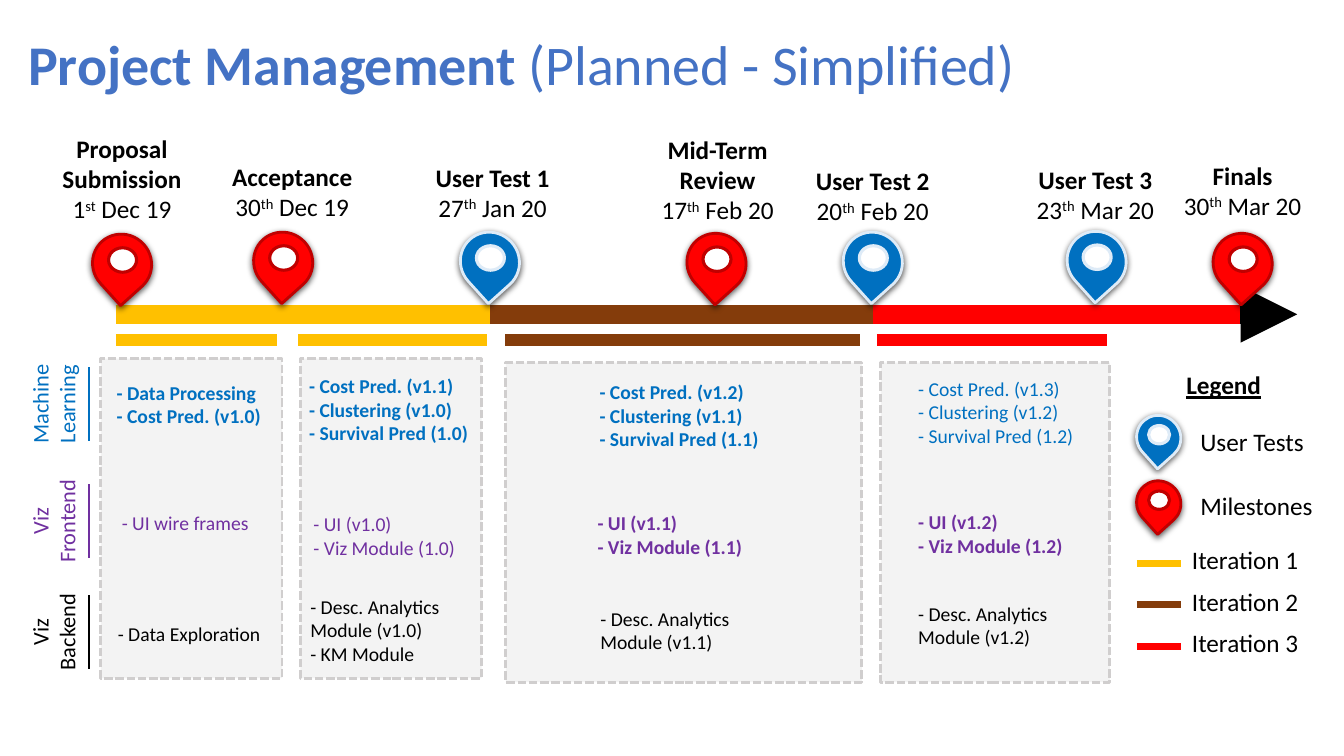
from lxml import etree
from pptx import Presentation
from pptx import util as u
from pptx.dml.color import RGBColor
from pptx.enum import dml, shapes, text
from pptx.oxml import ns

TITLE_BLUE = RGBColor(0x44, 0x72, 0xC4)
BLUE = RGBColor(0x00, 0x70, 0xC0)
PALE_BLUE = RGBColor(0xDE, 0xEB, 0xF7)
PURPLE = RGBColor(0x70, 0x30, 0xA0)
BLACK = RGBColor(0x00, 0x00, 0x00)
WHITE = RGBColor(0xFF, 0xFF, 0xFF)
GREY = RGBColor(0xD0, 0xCE, 0xCE)
RED = RGBColor(0xFF, 0x00, 0x00)
DARK_RED = RGBColor(0xC0, 0x00, 0x00)
AMBER = RGBColor(0xFF, 0xC0, 0x00)
BROWN = RGBColor(0x84, 0x3C, 0x0B)

USER_TEST = (BLUE, PALE_BLUE)
MILESTONE = (RED, DARK_RED)
ITERATIONS = [AMBER, BROWN, RED]

EVENTS = [
    (MILESTONE, 2.34, 5.89, 1.02, 3.23, ["Proposal Submission"], ("1", "st", " Dec 19")),
    (MILESTONE, 6.4, 5.84, 5.31, 3.94, ["Acceptance"], ("30", "th", " Dec 19")),
    (USER_TEST, 11.61, 5.84, 10.36, 3.96, ["User Test 1"], ("27", "th", " Jan 20")),
    (MILESTONE, 17.32, 5.87, 16.03, 3.25, ["Mid-Term", "Review"], ("17", "th", " Feb 20")),
    (USER_TEST, 21.26, 5.84, 19.94, 4.04, ["User Test 2"], ("20", "th", " Feb 20")),
    (USER_TEST, 26.9, 5.82, 25.55, 4.01, ["User Test 3"], ("23", "th", " Mar 20")),
    (MILESTONE, 30.58, 5.87, 29.26, 3.91, ["Finals"], ("30", "th", " Mar 20")),
]
TRACKS = [("Machine Learning", BLUE, 9.37), ("Viz Frontend", PURPLE, 12.32),
          ("Viz Backend", BLACK, 15.11)]
PHASES = [
    ((2.54, 9.04, 4.57), (0.38, 4.07), AMBER, [
        (0.15, 0.43, True, ["- Data Processing", "- Cost Pred. (v1.0)"]),
        (0.28, 3.71, False, ["- UI wire frames"]),
        (0.18, 6.5, False, ["- Data Exploration"])]),
    ((7.57, 9.04, 4.57), (-0.05, 4.75), AMBER, [
        (-0.03, 0.26, True, ["- Cost Pred. (v1.1)", "- Clustering (v1.0)", "- Survival Pred (1.0)"]),
        (0.08, 3.74, False, ["- UI (v1.0)", "- Viz Module (1.0)"]),
        (0, 5.82, False, ["- Desc. Analytics Module (v1.0)", "- KM Module"])]),
    ((12.75, 9.14, 8.97), (-0.02, 8.94), BROWN, [
        (2.11, 0.31, True, ["- Cost Pred. (v1.2)", "- Clustering (v1.1)", "- Survival Pred (1.1)"]),
        (2.06, 3.61, True, ["- UI (v1.1)", "- Viz Module (1.1)"]),
        (2.13, 6.02, False, ["- Desc. Analytics Module (v1.1)"])]),
    ((22.2, 9.14, 5.77), (-0.1, 5.79), RED, [
        (0.69, 0.23, False, ["- Cost Pred. (v1.3)", "- Clustering (v1.2)", "- Survival Pred (1.2)"]),
        (0.69, 3.59, True, ["- UI (v1.2)", "- Viz Module (1.2)"]),
        (0.69, 5.9, False, ["- Desc. Analytics Module (v1.2)"])]),
]


def cm(*values):
    """Convert centimetre numbers to lengths."""
    return [u.Cm(v) for v in values]


def add_text(s, box, paras, size=18, color=BLACK, align=text.PP_ALIGN.LEFT):
    """Add a text box; each paragraph is a list of (text, format, baseline) runs."""
    sp = s.shapes.add_textbox(*cm(*box))
    tf = sp.text_frame
    tf.word_wrap = True
    for i, runs in enumerate(paras):
        p = tf.paragraphs[0] if i == 0 else tf.add_paragraph()
        p.alignment = align
        for wording, fmt, baseline in runs:
            r = p.add_run()
            r.text = wording
            for key, value in {"name": "Calibri", "size": u.Pt(size), **fmt}.items():
                setattr(r.font, key, value)
            r.font.color.rgb = color
            if baseline:
                r.font._element.set("baseline", str(baseline))
    return sp


def add_line(s, x1, y1, x2, y2, color, width):
    """Add a straight line without shadow."""
    ln = s.shapes.add_connector(shapes.MSO_CONNECTOR.STRAIGHT, *cm(x1, y1, x2, y2))
    ln.line.color.rgb = color
    ln.line.width = u.Pt(width)
    etree.SubElement(ln._element.spPr, ns.qn("a:effectLst"))
    return ln


def style(sp, fill, line, width):
    """Set fill and outline and drop the theme shadow."""
    sp.shadow.inherit = False
    sp.fill.solid()
    sp.fill.fore_color.rgb = fill
    sp.line.color.rgb = line
    sp.line.width = u.Pt(width)


def add_pin(s, x, y, kind, w=1.47):
    """Draw a map pin of width w with its top left at x, y."""
    fill, line = kind
    grp = s.shapes.add_group_shape()
    drop = grp.shapes.add_shape(shapes.MSO_SHAPE.TEAR, *cm(x, y, w, w * 1.03))
    drop.rotation = 137.9
    style(drop, fill, line, 2)
    effects = drop._element.spPr.find(ns.qn("a:effectLst"))
    shadow = etree.SubElement(effects, ns.qn("a:outerShdw"), blurRad="57150", dist="19050",
                              dir="5400000", algn="ctr", rotWithShape="0")
    shade = etree.SubElement(shadow, ns.qn("a:srgbClr"), val="000000")
    etree.SubElement(shade, ns.qn("a:alpha"), val="63000")
    eye = grp.shapes.add_shape(shapes.MSO_SHAPE.OVAL,
                               *cm(x + w * 0.27, y + w * 0.24, w * 0.48, w * 0.42))
    style(eye, WHITE, line, 2.25)


def add_title(s, box):
    """Place the slide title."""
    sp = add_text(s, box, [[("Project Management ", {"bold": True}, 0),
                            ("(Planned - Simplified)", {}, 0)]], 40, TITLE_BLUE)
    sp.text_frame.vertical_anchor = text.MSO_ANCHOR.MIDDLE
    sp.text_frame.paragraphs[0].line_spacing = 0.9


def add_timeline(s, x, y, w):
    """Draw the arrow with its iteration segments and the dated pins."""
    arrow = add_line(s, x, y, x + w, y, BLACK, 13.5)
    etree.SubElement(arrow.line._get_or_add_ln(), ns.qn("a:tailEnd"), type="triangle")
    stops = [x, x + 9.42, x + 19.08, x + 28.32]
    for start, end, color in zip(stops, stops[1:], ITERATIONS):
        add_line(s, start, y, end, y, color, 13.5)
    for kind, px, py, tx, ty, names, (day, suffix, month) in EVENTS:
        paras = [[(name, {"bold": True}, 0)] for name in names]
        paras.append([(day, {}, 0), (suffix, {}, 30000), (month, {}, 0)])
        add_text(s, (tx, ty, 4.11, 1.8), paras, align=text.PP_ALIGN.CENTER)
        add_pin(s, px, py, kind)


def add_phase(s, box, bar, color, cells):
    """Draw one phase panel with its bar above and one text per track."""
    x, y, w = box
    panel = s.shapes.add_shape(shapes.MSO_SHAPE.RECTANGLE, *cm(x, y, w, 8.05))
    style(panel, GREY, GREY, 2)
    panel.line.dash_style = dml.MSO_LINE.SQUARE_DOT
    tint = panel._element.spPr.find(ns.qn("a:solidFill"))[0]
    etree.SubElement(tint, ns.qn("a:alpha"), val="24000")
    dx, length = bar
    add_line(s, x + dx, 8.56, x + dx + length, 8.56, color, 8.75)
    for (dx, dy, bold, lines), (_, ink, _), width in zip(cells, TRACKS, (4.75, 4.42, 4.42)):
        add_text(s, (x + dx, y + dy, width, 2.05),
                 [[(line, {"bold": bold}, 0)] for line in lines], 14, ink)


def add_track(s, x, y, name, color):
    """Place a rotated track name and its rule."""
    sp = add_text(s, (x, y, 3, 1.63), [[(name, {}, 0)]], 16, color, text.PP_ALIGN.CENTER)
    sp.rotation = 270
    add_line(s, x + 2.39, y + 1.74, x + 2.39, y - 0.12, color, 1)


def add_legend(s, x, y, w):
    """Place the legend heading, pins and iteration keys."""
    add_text(s, (x, y, w, 1.02), [[("Legend", {"bold": True, "underline": True}, 0)]],
             align=text.PP_ALIGN.CENTER)
    for i, (name, kind) in enumerate([("User Tests", USER_TEST), ("Milestones", MILESTONE)]):
        add_pin(s, x + 0.68, y + 1.27 + 1.65 * i, kind, 1.1)
        add_text(s, (x + 2.03, y + 1.43 + 1.6 * i, w, 1.02), [[(name, {}, 0)]])
    for i, color in enumerate(ITERATIONS):
        key_y = y + 5 + 1.05 * i
        add_line(s, x + 0.68, key_y, x + 1.78, key_y, color, 5)
        add_text(s, (x + 1.82, key_y - 0.6, w, 1.02), [[(f"Iteration {i + 1}", {}, 0)]])


def main():
    """Build and save the slide."""
    prs = Presentation()
    prs.slide_width, prs.slide_height = cm(33.87, 19.05)
    s = prs.slides.add_slide(prs.slide_layouts[6])
    add_title(s, (0.46, -0.15, 29.2, 3.68))
    for phase in PHASES:
        add_phase(s, *phase)
    add_timeline(s, 2.92, 7.92, 29.77)
    for name, color, y in TRACKS:
        add_track(s, -0.15, y, name, color)
    add_legend(s, 27.97, 9.19, 5.74)
    prs.save("out.pptx")


if __name__ == "__main__":
    main()
